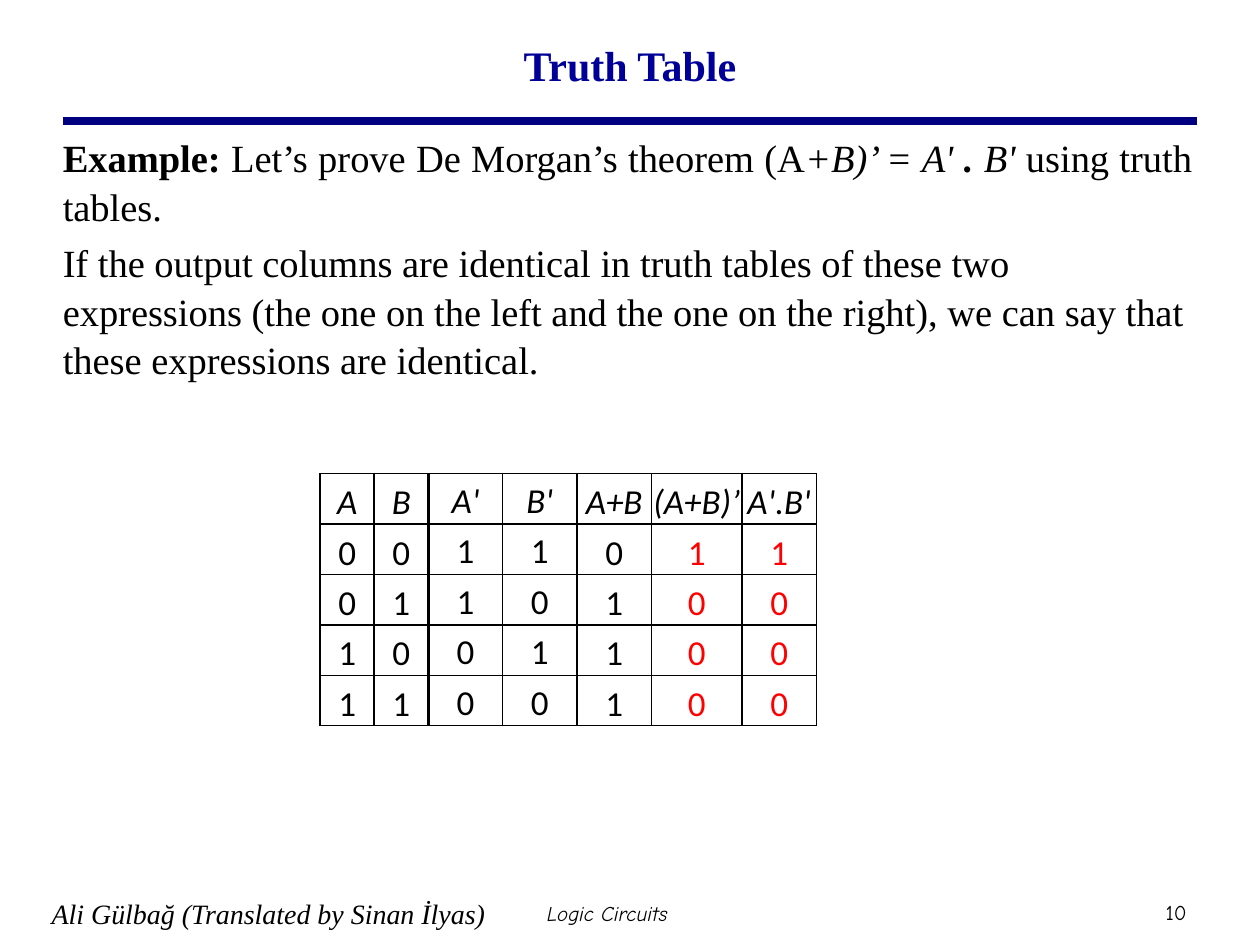
from dataclasses import dataclass
from lxml.etree import SubElement as Sub
from pptx import Presentation
from pptx.dml.color import RGBColor as Rgb
from pptx.enum.shapes import MSO_CONNECTOR as Conn
from pptx.enum.text import MSO_ANCHOR as Anchor, PP_ALIGN as Align
from pptx.oxml.ns import qn
from pptx.util import Inches, Pt


@dataclass(frozen=True)
class Theme:
    ink: str = "000000"
    navy: str = "000080"
    blue: str = "000099"
    red: str = "FF0000"
    serif: str = "Times New Roman"
    sans: str = "Calibri"
    comic: str = "Comic Neue"
    title: int = 24
    body: int = 22
    cell: int = 20
    name: int = 16
    foot: int = 12


T = Theme()
HEADS = ["A", "B", "A'", "B'", "A+B", "(A+B)’", "A'.B'"]
WIDTHS = [0.43, 0.43, 0.59, 0.59, 0.59, 0.72, 0.59]
ROW = 0.4
PROOF = [("Example: ", "b"), ("Let’s prove De Morgan’s theorem (A", ""),
         ("+B)’ = A' ", "i"), (".", "bi"), (" B' ", "i"),
         ("using truth tables.", "")]
CLAIM = [("If the output columns are identical in truth tables of these two "
          "expressions (the one on the left and the one on the right), we can "
          "say that these expressions are identical.", "")]


def add_run(para, text, face, size, color=T.ink, style=""):
    run = para.add_run()
    run.text = text
    font = run.font
    font.name, font.size = face, Pt(size)
    font.color.rgb = Rgb.from_string(color)
    font.bold, font.italic = "b" in style, "i" in style


def add_box(slide, left, top, width, height, pad=0.05, anchor=Anchor.MIDDLE):
    box = slide.shapes.add_textbox(*map(Inches, (left, top, width, height)))
    frame = box.text_frame
    frame.word_wrap = True
    frame.vertical_anchor = anchor
    frame.margin_left = frame.margin_right = Inches(pad)
    frame.margin_top = frame.margin_bottom = Inches(0.05)
    return frame


def add_label(slide, area, text, face, size, color=T.ink, style="",
              align=Align.LEFT):
    para = add_box(slide, *area).paragraphs[0]
    para.alignment = align
    add_run(para, text, face, size, color, style)


def add_rule(slide):
    ends = map(Inches, (0.5, 0.96, 9.5, 0.96))
    rule = slide.shapes.add_connector(Conn.STRAIGHT, *ends)
    rule.line.color.rgb = Rgb.from_string(T.navy)
    rule.line.width = Pt(4.5)
    Sub(rule._element.spPr, qn("a:effectLst"))


def add_body(slide):
    frame = add_box(slide, 0.4, 1, 9.16, 5.55, 0.1, Anchor.TOP)
    paras = [frame.paragraphs[0], frame.add_paragraph()]
    aligns = [Align.JUSTIFY, Align.LEFT]
    for para, align, runs in zip(paras, aligns, [PROOF, CLAIM]):
        para.alignment = align
        para.space_before = Pt(4.4)
        para.line_spacing = 1.05
        for text, style in runs:
            add_run(para, text, T.serif, T.body, style=style)


def add_edges(cell, row, col):
    bold = {"L": col == 2, "R": col == 1, "T": row == 1, "B": row == 0}
    props = cell._tc.get_or_add_tcPr()
    for side, thick in bold.items():
        line = Sub(props, qn("a:ln" + side), w=str(Pt(1.5 if thick else 1)))
        fill = Sub(line, qn("a:solidFill"))
        Sub(fill, qn("a:srgbClr"), val=T.ink)


def fill_cell(cell, row, col, text):
    pad = Inches(0 if col in (2, 3) else 0.01)
    cell.margin_left = cell.margin_right = cell.margin_top = pad
    cell.margin_bottom = 0
    add_edges(cell, row, col)
    cell.fill.background()
    para = cell.text_frame.paragraphs[0]
    para.alignment = Align.CENTER
    para.line_spacing = 1.15
    color = T.red if row and col > 4 else T.ink
    add_run(para, text, T.sans, T.cell, color, "" if row else "i")


def truth_rows():
    for a in (0, 1):
        for b in (0, 1):
            nor = int(not (a or b))
            yield [a, b, 1 - a, 1 - b, a | b, nor, (1 - a) & (1 - b)]


def add_truth(slide):
    rows = [HEADS, *truth_rows()]
    area = map(Inches, (2.54, 3.76, sum(WIDTHS), ROW * len(rows)))
    table = slide.shapes.add_table(len(rows), len(HEADS), *area).table
    table.first_row = table.horz_banding = False
    for col, width in zip(table.columns, WIDTHS):
        col.width = Inches(width)
    for r, vals in enumerate(rows):
        table.rows[r].height = Inches(ROW)
        for c, val in enumerate(vals):
            fill_cell(table.cell(r, c), r, c, str(val))


def main():
    deck = Presentation()
    deck.slide_width, deck.slide_height = Inches(10), Inches(7.5)
    slide = deck.slides.add_slide(deck.slide_layouts[6])
    add_rule(slide)
    add_label(slide, (9.1, 7.09, 0.47, 0.3), "10", T.comic, T.foot,
              align=Align.CENTER)
    add_label(slide, (0.36, 7, 3.58, 0.5),
              "Ali Gülbağ (Translated by Sinan İlyas)", T.serif, T.name,
              style="i")
    add_label(slide, (0.75, 0.08, 8.5, 0.86), "Truth Table", T.serif, T.title,
              T.blue, "b", Align.CENTER)
    add_body(slide)
    add_label(slide, (3.03, 7, 3.58, 0.5), "Logic Circuits", T.comic, T.foot,
              style="i", align=Align.CENTER)
    add_truth(slide)
    deck.save("out.pptx")


main()
